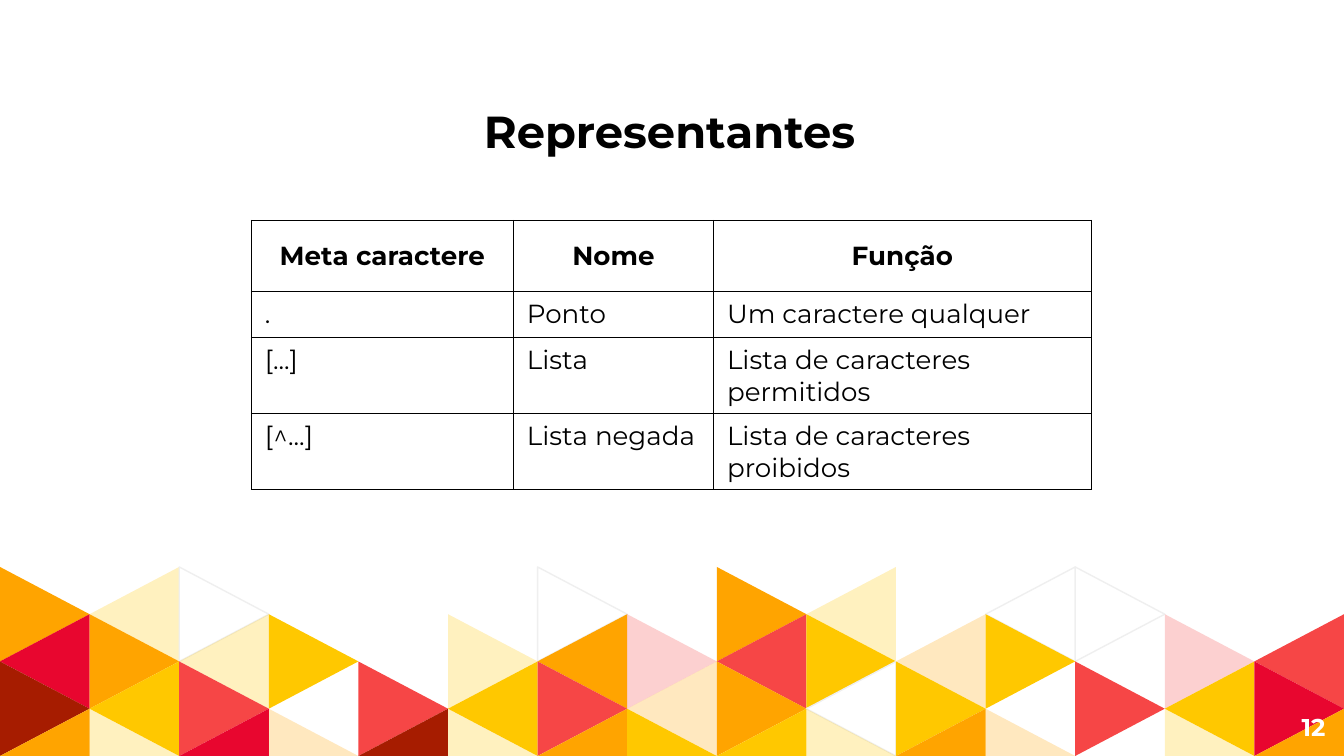
from dataclasses import dataclass
from typing import Optional

from lxml.etree import SubElement
from pptx import Presentation
from pptx.dml.color import RGBColor
from pptx.enum.text import MSO_ANCHOR, MSO_AUTO_SIZE, PP_ALIGN
from pptx.oxml import parse_xml
from pptx.oxml.ns import nsdecls, qn
from pptx.util import Inches, Pt

SLIDE_WIDTH = Inches(10)
SLIDE_HEIGHT = Inches(5.625)
FONT = "Montserrat"

BLACK = RGBColor(0x00, 0x00, 0x00)
WHITE = RGBColor(0xFF, 0xFF, 0xFF)
PALE_GRAY = RGBColor(0xEF, 0xEF, 0xEF)
ORANGE = RGBColor(0xFF, 0xA4, 0x00)
YELLOW = RGBColor(0xFF, 0xC8, 0x00)
CORAL = RGBColor(0xF6, 0x46, 0x46)
RED = RGBColor(0xE8, 0x06, 0x2F)
BROWN = RGBColor(0xA6, 0x1C, 0x00)


@dataclass(frozen=True)
class Paint:
    color: RGBColor
    opacity: int = 100
    outline: Optional[RGBColor] = None


PAINTS = {
    "O": Paint(ORANGE),
    "o": Paint(ORANGE, 25),
    "Y": Paint(YELLOW),
    "y": Paint(YELLOW, 25),
    "C": Paint(CORAL),
    "c": Paint(CORAL, 25),
    "R": Paint(RED),
    "B": Paint(BROWN),
    "W": Paint(WHITE, outline=PALE_GRAY),
}

# One letter for each triangle, one line for each half-triangle step down.
MOSAIC = [
    "OyW...W.Oy.WW..",
    "ROyY.yOcCYoY.cC",
    "BYC.CYCoOWY.CYR",
    "OyRoByOYYyOo.yO",
]
MOSAIC_COLUMN = SLIDE_WIDTH / len(MOSAIC[0])
MOSAIC_STEP = SLIDE_HEIGHT / 16
MOSAIC_TOP = SLIDE_HEIGHT - len(MOSAIC) * MOSAIC_STEP

TABLE_LEFT, TABLE_TOP = Inches(1.87), Inches(1.64)
COLUMN_WIDTHS = [1.95, 1.49, 2.81]
ROW_HEIGHTS = [0.53, 0.34, 0.53, 0.53]
TABLE_TEXT = [
    ["Meta caractere", "Nome", "Função"],
    [".", "Ponto", "Um caractere qualquer"],
    ["[...]", "Lista", "Lista de caracteres permitidos"],
    ["[^...]", "Lista negada", "Lista de caracteres proibidos"],
]


def set_font(paragraph, size: float, color: RGBColor, bold: bool) -> None:
    font = paragraph.font
    font.name, font.size, font.bold = FONT, Pt(size), bold
    font.color.rgb = color


def draw_triangle(slide, column: int, level: int, paint: Paint) -> None:
    """Point right where column + level is even, else left; cut at the slide's foot."""
    left, right = column * MOSAIC_COLUMN, (column + 1) * MOSAIC_COLUMN
    base, tip = (left, right) if (column + level) % 2 == 0 else (right, left)
    top = MOSAIC_TOP + level * MOSAIC_STEP
    middle, bottom = top + MOSAIC_STEP, top + 2 * MOSAIC_STEP
    if level < len(MOSAIC) - 1:
        points = [(base, top), (tip, middle), (base, bottom)]
    elif base == left:
        points = [(base, top), (tip, middle), (base, middle)]
    else:
        points = [(tip, middle), (base, top), (base, middle)]

    builder = slide.shapes.build_freeform(round(points[0][0]), round(points[0][1]))
    builder.add_line_segments([(round(x), round(y)) for x, y in points[1:]])
    shape = builder.convert_to_shape()
    shape.shadow.inherit = False
    shape.fill.solid()
    shape.fill.fore_color.rgb = paint.color
    if paint.opacity < 100:
        color = shape.fill._xPr.find(qn("a:solidFill"))[0]
        SubElement(color, qn("a:alpha"), val=str(paint.opacity * 1000))
    if paint.outline is None:
        shape.line.fill.background()
    else:
        shape.line.color.rgb = paint.outline
        shape.line.width = Pt(0.75)


def draw_mosaic(slide) -> None:
    for level, letters in enumerate(MOSAIC):
        for column, letter in enumerate(letters):
            if letter in PAINTS:
                draw_triangle(slide, column, level, PAINTS[letter])


def set_borders(cell, color: RGBColor, width: float) -> None:
    properties = cell._tc.get_or_add_tcPr()
    for position, side in enumerate(("lnL", "lnR", "lnT", "lnB")):
        border = parse_xml(
            f'<a:{side} {nsdecls("a")} w="{Pt(width)}"><a:solidFill>'
            f'<a:srgbClr val="{color}"/></a:solidFill></a:{side}>'
        )
        properties.insert(position, border)


def draw_table(slide) -> None:
    table = slide.shapes.add_table(
        len(ROW_HEIGHTS), len(COLUMN_WIDTHS), TABLE_LEFT, TABLE_TOP,
        Inches(sum(COLUMN_WIDTHS)), Inches(sum(ROW_HEIGHTS)),
    ).table
    table.first_row = table.horz_banding = False
    for column, width in zip(table.columns, COLUMN_WIDTHS):
        column.width = Inches(width)
    for row_index, (row, height) in enumerate(zip(table.rows, ROW_HEIGHTS)):
        row.height = Inches(height)
        is_header = row_index == 0
        for cell, text in zip(row.cells, TABLE_TEXT[row_index]):
            cell.text = text
            cell.fill.background()
            set_borders(cell, BLACK, 0.75)
            paragraph = cell.text_frame.paragraphs[0]
            set_font(paragraph, 14, BLACK, bold=is_header)
            if is_header:
                cell.vertical_anchor = MSO_ANCHOR.MIDDLE
                paragraph.alignment = PP_ALIGN.CENTER


def place_title(slide, text: str) -> None:
    title = slide.shapes.title
    title.left, title.top = Inches(3.5), Inches(0.72)
    title.width, title.height = Inches(3), Inches(0.5)
    frame = title.text_frame
    frame.text = text
    frame.word_wrap = False
    frame.auto_size = MSO_AUTO_SIZE.SHAPE_TO_FIT_TEXT
    frame.vertical_anchor = MSO_ANCHOR.TOP
    frame.paragraphs[0].alignment = PP_ALIGN.LEFT
    set_font(frame.paragraphs[0], 24, BLACK, bold=True)


def draw_page_number(slide, number: int) -> None:
    box = slide.shapes.add_textbox(
        Inches(9.35), Inches(5.19), Inches(0.61), Inches(0.43)
    )
    frame = box.text_frame
    frame.text = str(number)
    frame.word_wrap = True
    frame.vertical_anchor = MSO_ANCHOR.MIDDLE
    frame.margin_left = frame.margin_right = Inches(0.1)
    frame.margin_top = frame.margin_bottom = Inches(0.1)
    frame.paragraphs[0].alignment = PP_ALIGN.RIGHT
    set_font(frame.paragraphs[0], 13, WHITE, bold=True)


def main() -> None:
    presentation = Presentation()
    presentation.slide_width = SLIDE_WIDTH
    presentation.slide_height = SLIDE_HEIGHT
    slide = presentation.slides.add_slide(presentation.slide_layouts[5])
    draw_mosaic(slide)
    draw_page_number(slide, 12)
    draw_table(slide)
    place_title(slide, "Representantes")
    presentation.save("out.pptx")


if __name__ == "__main__":
    main()
